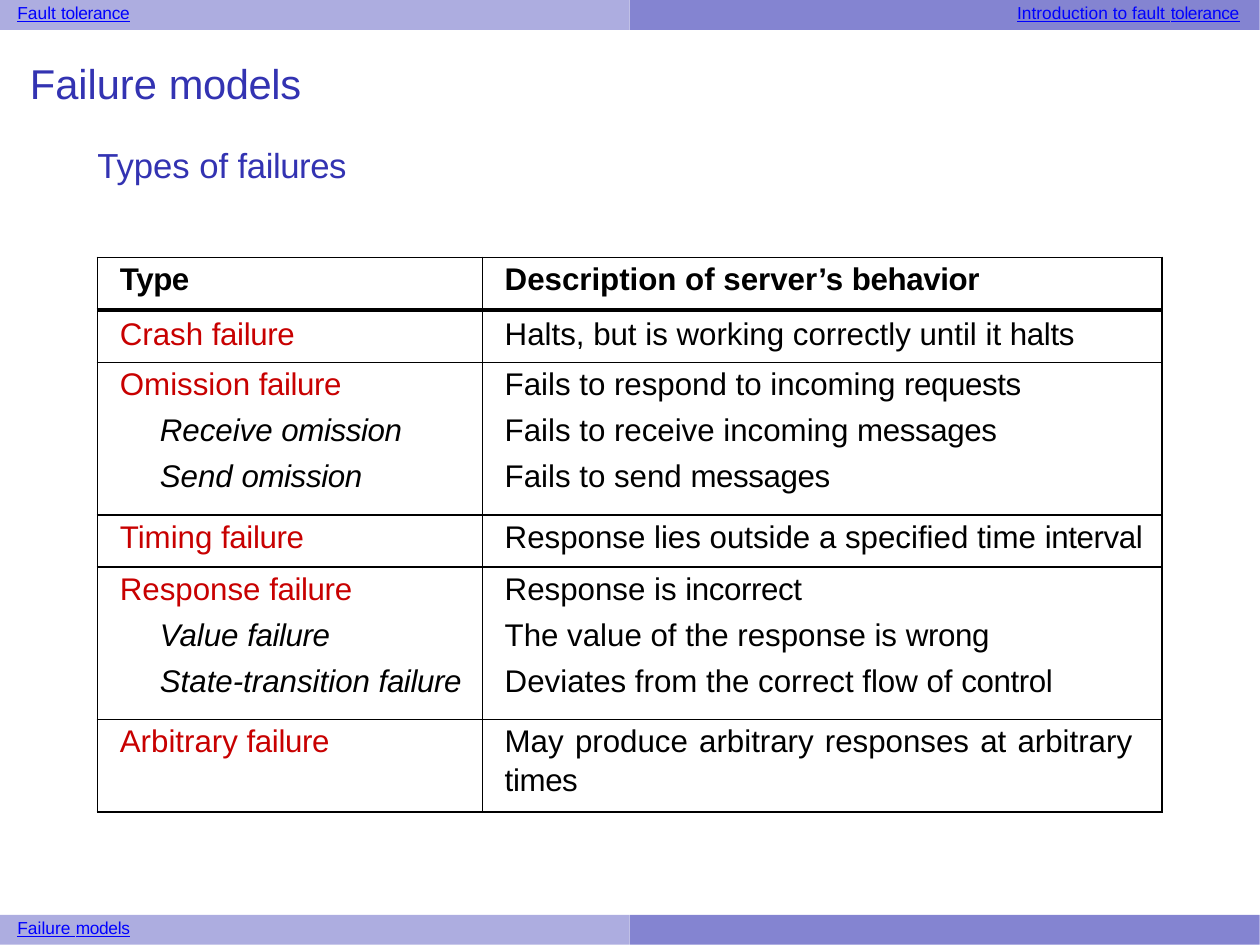
from lxml import etree
from pptx import Presentation
from pptx.dml.color import RGBColor
from pptx.enum.shapes import MSO_SHAPE
from pptx.enum.text import PP_ALIGN
from pptx.oxml.ns import qn
from pptx.util import Inches, Pt

RECT, JUSTIFY = MSO_SHAPE.RECTANGLE, PP_ALIGN.JUSTIFY
COLORS = {"pale": "ADADE0", "deep": "8484D1", "link": "0000FF",
          "title": "3333B2", "failure": "C80000", "ink": "000000"}
HALF, BAR, FOOTER = 2.52, 0.12, 3.66

LINK = {"size": Pt(5), "underline": True}
HEAD = {"size": Pt(9), "bold": True}
BODY = {"size": Pt(9), "bold": False}
SUBTYPE = {"size": Pt(9), "bold": False, "italic": True}


def write(p, text, color, font):
    """Write the text with its last word set slightly tighter."""
    start, space, last = text.rpartition(" ")
    for part, spacing in ((start + space, 0), (last, -10)):
        if part:
            r = p.add_run()
            r.text = part
            r.font.name = "Arial"
            r.font.color.rgb = RGBColor.from_string(COLORS[color])
            for name, value in font.items():
                setattr(r.font, name, value)
            r._r.get_or_add_rPr().set("spc", str(spacing))


def add_box(x, y, w, h):
    """Add a text box with almost no margins and return its text frame."""
    tf = s.shapes.add_textbox(Inches(x), Inches(y), Inches(w), Inches(h)).text_frame
    tf.word_wrap = True
    tf.margin_left = tf.margin_top = Inches(0.01)
    tf.margin_right = tf.margin_bottom = 0
    return tf


prs = Presentation()
prs.slide_width, prs.slide_height = Pt(363), Pt(272.5)
s = prs.slides.add_slide(prs.slide_layouts[6])

# Header and footer bars, each in two halves
for y in (0, FOOTER):
    for half, color in enumerate(("pale", "deep")):
        sp = s.shapes.add_shape(RECT, Inches(half * HALF), Inches(y), Inches(HALF), Inches(BAR))
        sp.shadow.inherit = False
        sp.fill.solid()
        sp.fill.fore_color.rgb = RGBColor.from_string(COLORS[color])
        sp.line.fill.background()

for x, y, w, text in ((0.06, 0, 0.48, "Fault tolerance"),
                      (4.06, 0, 0.92, "Introduction to fault tolerance"),
                      (0.06, FOOTER, 0.48, "Failure models")):
    write(add_box(x, y, w, 0.11).paragraphs[0], text, "link", LINK)

# Title and subtitle
tf = add_box(0.11, 0.22, 1.29, 0.54)
write(tf.paragraphs[0], "Failure models", "title", {"size": Pt(12)})
p = tf.add_paragraph()
p.space_before = Pt(10.6)
p._p.get_or_add_pPr().set("marL", str(Inches(0.27)))
write(p, "Types of failures", "title", {"size": Pt(10)})

# Table of failure types
ROWS = [
    (0.21, ["Type"], ["Description of server’s behavior"]),
    (0.21, ["Crash failure"], ["Halts, but is working correctly until it halts"]),
    (0.61, ["Omission failure", "Receive omission", "Send omission"],
     ["Fails to respond to incoming requests", "Fails to receive incoming messages",
      "Fails to send messages"]),
    (0.21, ["Timing failure"], ["Response lies outside a specified time interval"]),
    (0.61, ["Response failure", "Value failure", "State-transition failure"],
     ["Response is incorrect", "The value of the response is wrong",
      "Deviates from the correct flow of control"]),
    (0.37, ["Arbitrary failure"], ["May produce arbitrary responses at arbitrary times"]),
]
COLS = (1.54, 2.72)
table = s.shapes.add_table(len(ROWS), len(COLS), Inches(0.39), Inches(1.03), Inches(sum(COLS)),
                           Inches(sum(row[0] for row in ROWS))).table
table.first_row = table.horz_banding = False
for column, width in zip(table.columns, COLS):
    column.width = Inches(width)

for i, (height, *contents) in enumerate(ROWS):
    table.rows[i].height = Inches(height)
    for j, lines in enumerate(contents):
        cell = table.cell(i, j)
        cell.margin_left = Inches(0.09)
        cell.margin_top = Inches(0.03 if i == 1 else 0.02)
        cell.margin_right = cell.margin_bottom = 0
        tf = cell.text_frame
        for n, text in enumerate(lines):
            p = tf.add_paragraph() if n else tf.paragraphs[0]
            subtype = n > 0 and j == 0
            if n:
                p.space_before = Pt(3.2)
            if subtype:
                p._p.get_or_add_pPr().set("marL", str(Inches(0.16)))
            color = "failure" if i and j == 0 and not n else "ink"
            write(p, text, color, SUBTYPE if subtype else BODY if i else HEAD)

        tcPr = cell._tc.get_or_add_tcPr()
        for side in ("L", "R", "T", "B"):
            thick = (i, side) in ((0, "B"), (1, "T"))
            ln = etree.SubElement(tcPr, qn(f"a:ln{side}"), w=str(Pt(1.5 if thick else 0.5)))
            fill = etree.SubElement(ln, qn("a:solidFill"))
            etree.SubElement(fill, qn("a:srgbClr"), val=COLORS["ink"])
        cell.fill.background()

# The longest description is justified over two lines
cell = table.cell(len(ROWS) - 1, 1)
cell.margin_top, cell.margin_right = 0, Inches(0.12)
p = cell.text_frame.paragraphs[0]
p.alignment, p.line_spacing = JUSTIFY, 1.12

prs.save("out.pptx")
